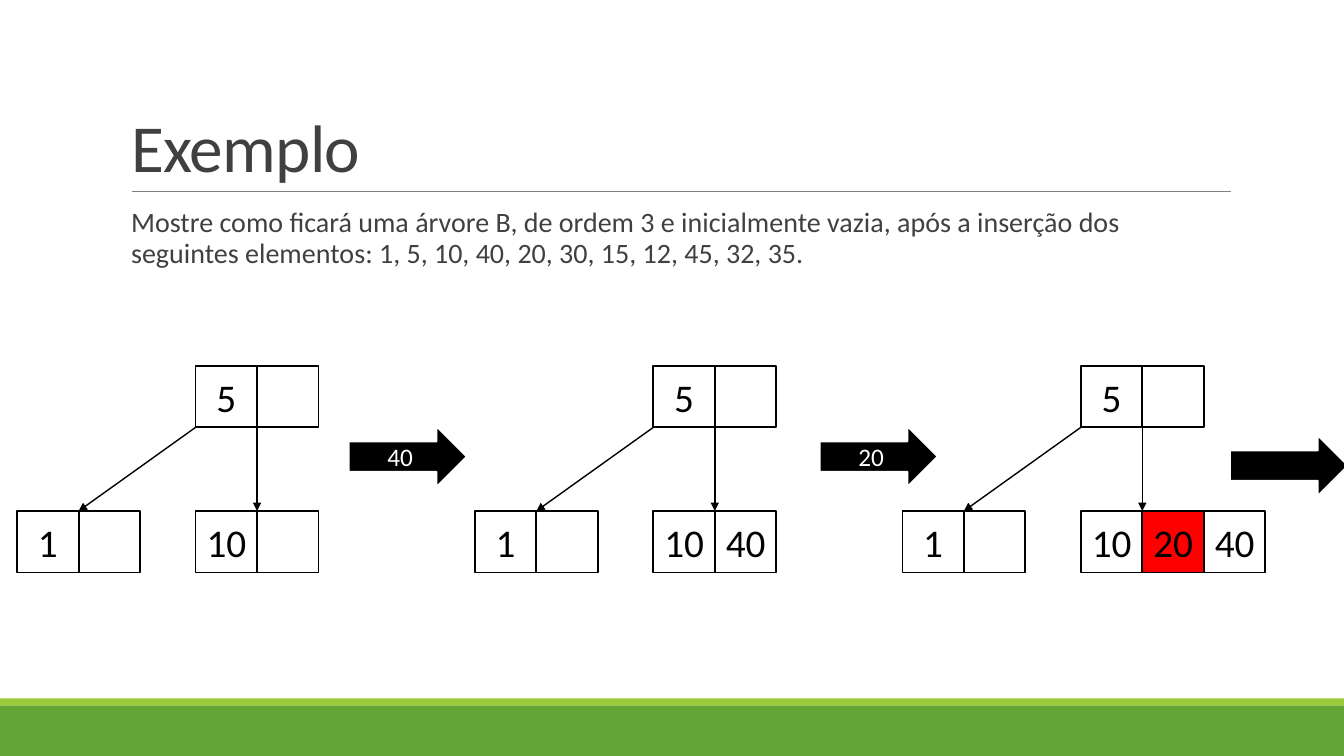
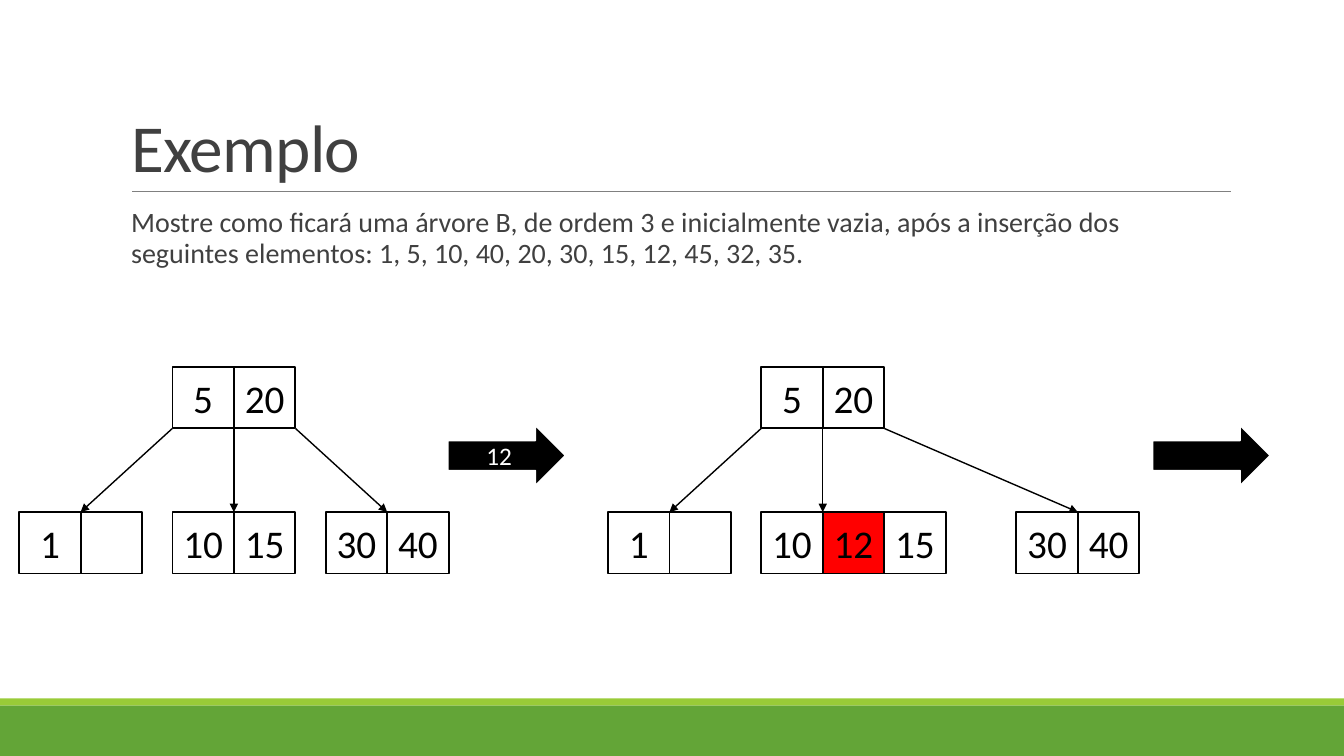
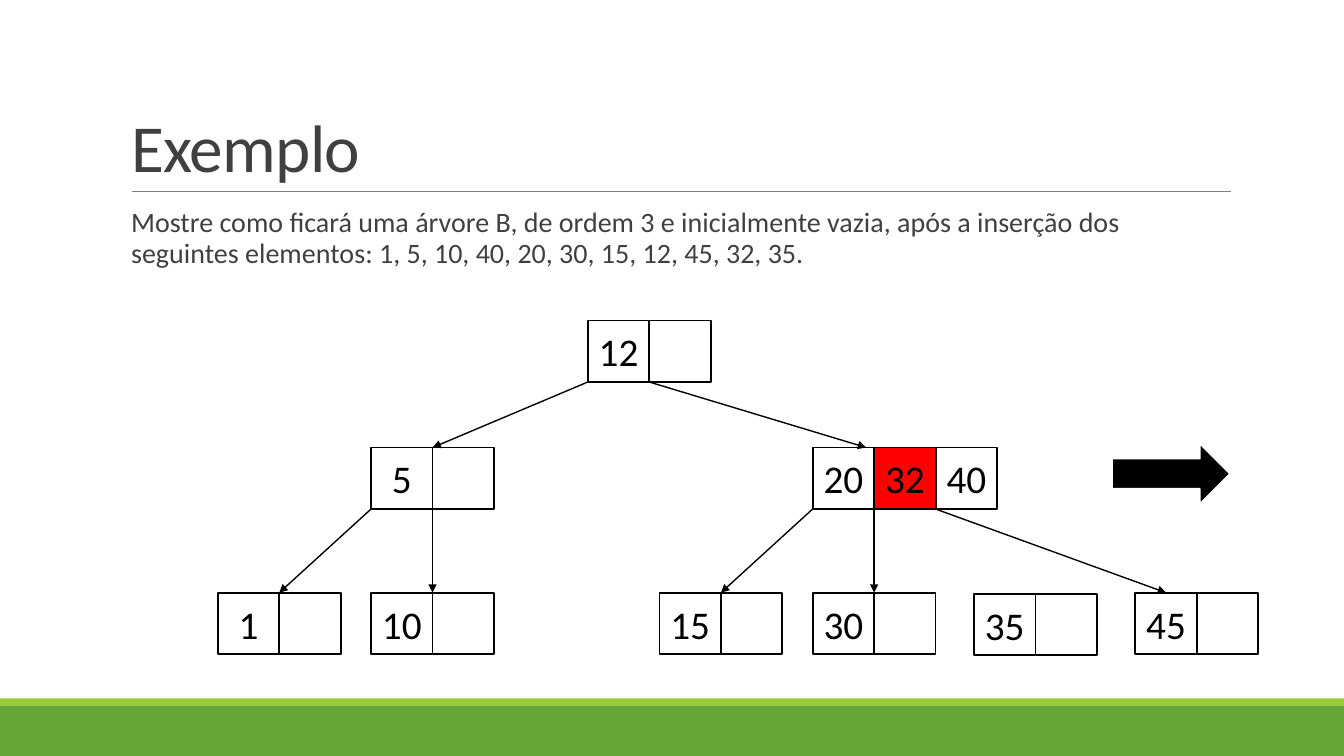
from dataclasses import dataclass
from itertools import count

from lxml import etree
from pptx import Presentation
from pptx.dml.color import RGBColor
from pptx.enum import shapes, text
from pptx.oxml import ns
from pptx.util import Inches, Pt

FONT = "Calibri"
BLACK, WHITE, RED = "000000", "FFFFFF", "FF0000"
GREEN, LIME, GRAY, DARK = "63A537", "99CB38", "808080", "404040"
CELL = 0.61
TITLE = "Exemplo"
TASK = (
    "Mostre como ficará uma árvore B, de ordem 3 e inicialmente vazia, após a inserção dos "
    "seguintes elementos: 1, 5, 10, 40, 20, 30, 15, 12, 45, 32, 35."
)


@dataclass
class Node:
    """Tree node: offset from its parent, keys, children, new key, arrow entry in cells."""
    offset: float
    keys: tuple
    children: tuple = ()
    inserted: str = ""
    entry: float = 1


def color(hex_string):
    """Turn a hex string into a colour."""
    return RGBColor.from_string(hex_string)


def set_font(paragraph, size, hex_string):
    """Set the font of a whole paragraph."""
    paragraph.font.name = FONT
    paragraph.font.size = Pt(size)
    paragraph.font.color.rgb = color(hex_string)


def add_box(slide, kind, box, fill, line=None, label="", size=28, ink=BLACK):
    """Add a filled preset shape with an optional centred label."""
    shape = slide.shapes.add_shape(kind, *map(Inches, box))
    shape.shadow.inherit = False
    shape.fill.solid()
    shape.fill.fore_color.rgb = color(fill)
    if line:
        shape.line.color.rgb = color(line)
        shape.line.width = Pt(1.25)
    else:
        shape.line.fill.background()
    if label:
        frame = shape.text_frame
        frame.margin_left = frame.margin_right = 0
        frame.vertical_anchor = text.MSO_ANCHOR.MIDDLE
        paragraph = frame.paragraphs[0]
        paragraph.text = label
        paragraph.alignment = text.PP_ALIGN.CENTER
        set_font(paragraph, size, ink)
    return shape


def add_line(slide, start, end, hex_string, width, arrow=False):
    """Add a straight line, with an arrowhead at its end if asked."""
    connector = slide.shapes.add_connector(
        shapes.MSO_CONNECTOR.STRAIGHT, *map(Inches, (*start, *end)))
    connector.line.color.rgb = color(hex_string)
    connector.line.width = Pt(width)
    properties = connector._element.spPr
    if arrow:
        outline = properties.find(ns.qn("a:ln"))
        etree.SubElement(outline, ns.qn("a:tailEnd"), type="triangle")
    etree.SubElement(properties, ns.qn("a:effectLst"))
    return connector


def decorate_layout(slide):
    """Put the bands and the title rule on the layout behind the slide."""
    rectangle = shapes.MSO_SHAPE.RECTANGLE
    parts = (
        add_box(slide, rectangle, (0, 7, 13.33, 0.5), GREEN),
        add_box(slide, rectangle, (0, 6.93, 13.33, 0.07), LIME),
        add_line(slide, (1.31, 1.9), (12.21, 1.9), GRAY, 0.5),
    )
    tree = slide.slide_layout.shapes._spTree
    for part, number in zip(parts, count(101)):
        part._element.xpath(".//p:cNvPr")[0].set("id", str(number))
        tree.insert(2, part._element)


def fill_placeholder(placeholder, box, words, size, spacing, anchor):
    """Move a placeholder and write one left-aligned paragraph in it."""
    placeholder.left, placeholder.top, placeholder.width, placeholder.height = map(Inches, box)
    frame = placeholder.text_frame
    frame.word_wrap = True
    frame.auto_size = text.MSO_AUTO_SIZE.NONE
    frame.vertical_anchor = anchor
    paragraph = frame.paragraphs[0]
    paragraph.text = words
    paragraph.alignment = text.PP_ALIGN.LEFT
    paragraph.line_spacing = spacing
    set_font(paragraph, size, DARK)
    return frame, paragraph


def add_example_slide(presentation):
    """Add a slide with the shared title and task."""
    slide = presentation.slides.add_slide(presentation.slide_layouts[1])
    title, body = slide.placeholders
    _, heading = fill_placeholder(
        title, (1.2, 0.31, 11, 1.59), TITLE, 48, 0.85, text.MSO_ANCHOR.BOTTOM)
    heading._p.pPr.find(ns.qn("a:defRPr")).set("spc", "-50")
    frame, task = fill_placeholder(
        body, (1.2, 2.02, 11, 4.4), TASK, 20, 0.9, text.MSO_ANCHOR.TOP)
    frame.margin_left = frame.margin_right = 0
    task.space_before, task.space_after = Pt(12), Pt(2)
    properties = task._p.pPr
    properties.set("marL", str(Inches(0.1)))
    properties.set("indent", "0")
    bullet = etree.Element(ns.qn("a:buNone"))
    properties.find(ns.qn("a:defRPr")).addprevious(bullet)
    return slide


def draw_tree(slide, left, tops, node):
    """Draw a node at left and tops[0], and its children on the next levels."""
    cells = [
        add_box(slide, shapes.MSO_SHAPE.RECTANGLE, (left + column * CELL, tops[0], CELL, CELL),
                RED if key and key == node.inserted else WHITE, BLACK, key)
        for column, key in enumerate(node.keys)
    ]
    for divider, child in enumerate(node.children):
        child_left = left + child.offset
        child_cells = draw_tree(slide, child_left, tops[1:], child)
        start = (left + divider * CELL, tops[0] + CELL)
        end = (child_left + child.entry * CELL, tops[1])
        pointer = add_line(slide, start, end, BLACK, 1, arrow=True)
        if child.entry == 0.5:
            pointer.end_connect(child_cells[0], 0)
    return cells


def add_step(slide, left, top, label=""):
    """Add a block arrow that leads to the next tree."""
    add_box(slide, shapes.MSO_SHAPE.RIGHT_ARROW, (left, top, 1.17, 0.6),
            BLACK, WHITE, label, 18, WHITE)


def build_first_insertions(slide):
    """Show the insertion of 40 and 20."""
    stages = ((1.94, ("10", "")), (6.48, ("10", "40")), (10.72, ("10", "20", "40")))
    for left, keys in stages:
        leaves = (Node(-1.77, ("1", "")), Node(0, keys, inserted="20"))
        draw_tree(slide, left, (3.63, 5.07), Node(0, ("5", ""), leaves))
    for step in ((3.46, 4.23, "40"), (8.13, 4.23, "20"), (12.2, 4.32)):
        add_step(slide, *step)


def build_full_leaf(slide):
    """Show the insertion of 12 in a full leaf."""
    stages = ((1.71, ("10", "15"), 1.52), (7.55, ("10", "12", "15"), 2.53))
    for left, keys, last_offset in stages:
        leaves = (Node(-1.52, ("1", "")), Node(0, keys, inserted="12"),
                  Node(last_offset, ("30", "40")))
        draw_tree(slide, left, (3.64, 5.08), Node(0, ("5", "20"), leaves))
    add_step(slide, 4.44, 4.22, "12")
    add_step(slide, 11.43, 4.22)


def build_full_branch(slide):
    """Show the tree of three levels whose right branch overflows."""
    low = Node(-2.15, ("5", ""), (Node(-1.52, ("1", "")), Node(0, ("10", ""))))
    high_leaves = (Node(-1.52, ("15", "")), Node(0, ("30", "")), Node(3.2, ("45", ""), entry=0.5))
    high = Node(2.23, ("20", "32", "40"), high_leaves, inserted="32", entry=0.87)
    draw_tree(slide, 5.83, (3.18, 4.44, 5.88), Node(0, ("12", ""), (low, high)))
    draw_tree(slide, 9.66, (5.89,), Node(0, ("35", "")))
    add_step(slide, 11.03, 4.4)


def main():
    """Build and save the presentation."""
    presentation = Presentation()
    presentation.slide_width, presentation.slide_height = Inches(13.33), Inches(7.5)
    builders = (build_first_insertions, build_full_leaf, build_full_branch)
    slides = [add_example_slide(presentation) for _ in builders]
    decorate_layout(slides[0])
    for build, slide in zip(builders, slides):
        build(slide)
    presentation.save("out.pptx")


if __name__ == "__main__":
    main()
